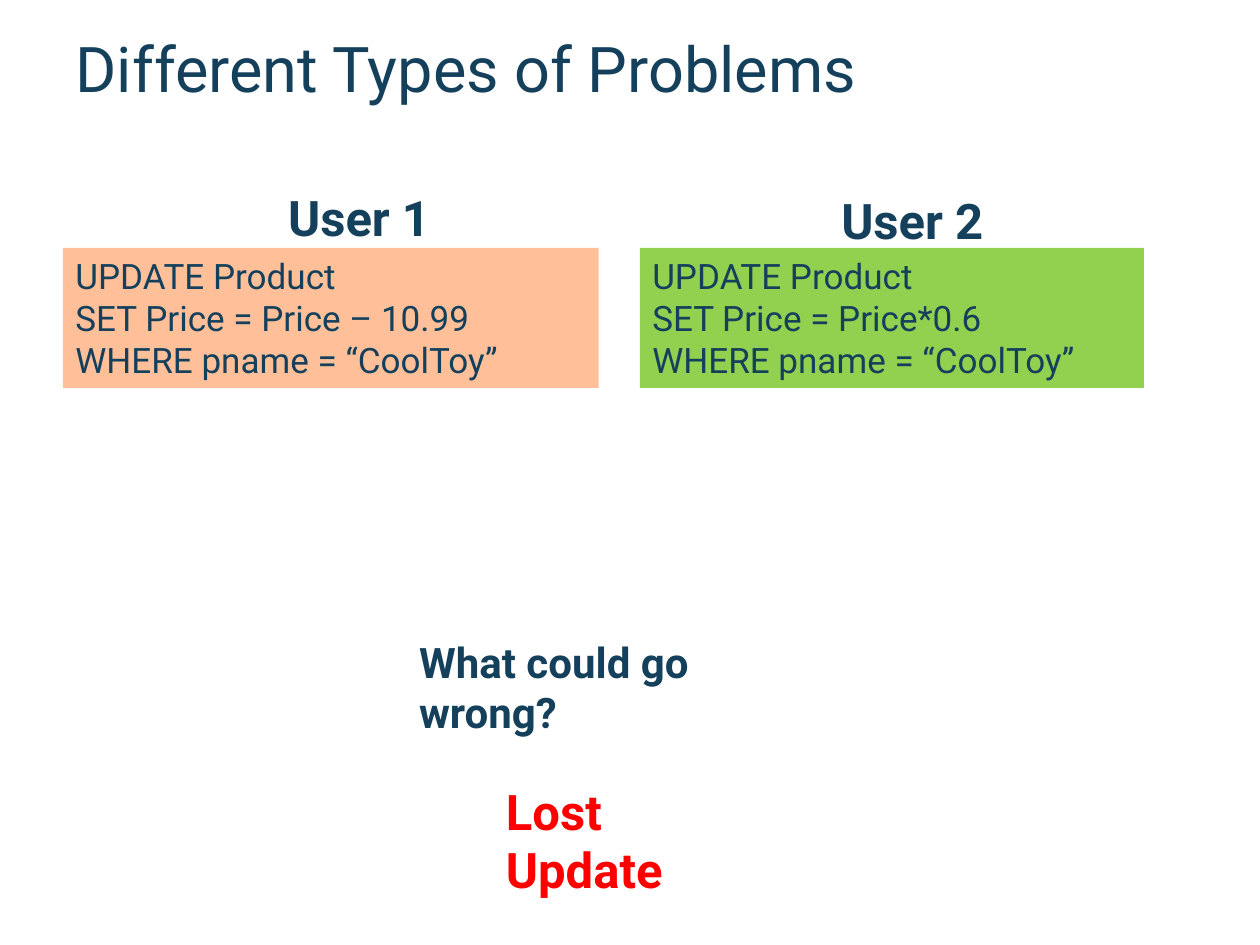
from pptx import Presentation
from pptx.dml.color import RGBColor
from pptx.enum.shapes import MSO_SHAPE
from pptx.enum.text import MSO_ANCHOR, PP_ALIGN
from pptx.util import Cm, Pt

FONT = "Roboto"
NAVY = RGBColor(0x14, 0x40, 0x5C)
RED = RGBColor(0xFF, 0x00, 0x00)
PEACH = RGBColor(0xFF, 0xC0, 0x99)
GREEN = RGBColor(0x92, 0xD0, 0x50)


def write(box, lines, size, color=NAVY, bold=False, anchor=MSO_ANCHOR.TOP):
    frame = box.text_frame
    frame.word_wrap = True
    frame.vertical_anchor = anchor
    for index, line in enumerate(lines):
        para = frame.paragraphs[0] if index == 0 else frame.add_paragraph()
        para.alignment = PP_ALIGN.LEFT
        span = para.add_run()
        span.text = line
        span.font.name = FONT
        span.font.size = Pt(size)
        span.font.bold = bold
        span.font.color.rgb = color


def add_title(page, left, top, width, height):
    title = page.shapes.title
    title.left, title.top = Cm(left), Cm(top)
    title.width, title.height = Cm(width), Cm(height)
    write(title, ["Different Types of Problems"], 36, anchor=MSO_ANCHOR.MIDDLE)


def add_label(page, left, top, width, height, text, size, color=NAVY):
    label = page.shapes.add_textbox(Cm(left), Cm(top), Cm(width), Cm(height))
    write(label, [text], size, color, bold=True)


def add_user(page, left, top, width, name, name_left, name_top, price, fill):
    """Place a user's statement, with the name measured from its corner."""
    statement = page.shapes.add_shape(
        MSO_SHAPE.RECTANGLE, Cm(left), Cm(top), Cm(width), Cm(2.82))
    statement.shadow.inherit = False
    statement.fill.solid()
    statement.fill.fore_color.rgb = fill
    statement.line.fill.background()
    write(statement, ["UPDATE Product", f"SET Price = {price}",
                      "WHERE pname = “CoolToy”"], 20)
    add_label(page, left + name_left, top + name_top, 3.58, 1.45, name, 28)


def add_question(page, left, top):
    add_label(page, left, top, 8.48, 1.27, "What could go wrong?", 24)
    add_label(page, left + 1.75, top + 2.92, 5.46, 1.45, "Lost Update", 28, RED)


def main():
    deck = Presentation()
    deck.slide_width, deck.slide_height = Cm(25.4), Cm(19.05)
    page = deck.slides.add_slide(deck.slide_layouts[5])

    add_title(page, 1.27, 0.64, 22.86, 1.45)
    # The two concurrent updates
    add_user(page, 1.27, 5, 10.8, "User 1", 4.29, -1.34, "Price – 10.99", PEACH)
    add_user(page, 12.9, 5, 10.16, "User 2", 3.81, -1.29, "Price*0.6", GREEN)
    # Question and answer
    add_question(page, 8.2, 12.7)

    deck.save("out.pptx")


if __name__ == "__main__":
    main()
